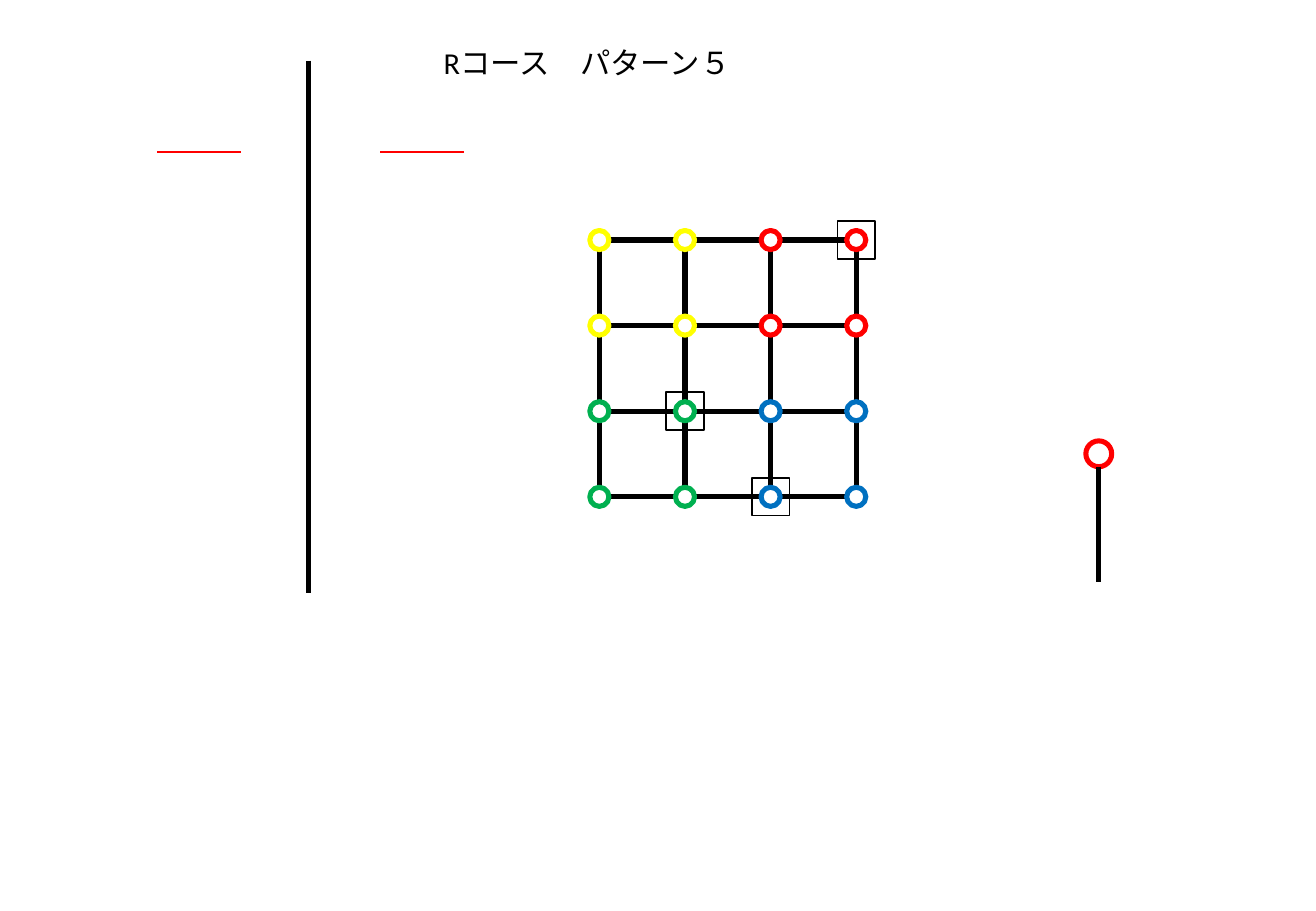
from dataclasses import dataclass
from itertools import product

from lxml import etree
from pptx import Presentation
from pptx import util as u
from pptx.dml.color import RGBColor
from pptx.enum import shapes, text
from pptx.oxml.ns import qn
from pptx.shapes.autoshape import Shape
from pptx.shapes.connector import Connector


@dataclass(frozen=True)
class Theme:
    black: str = "000000"
    white: str = "FFFFFF"
    red: str = "FF0000"
    yellow: str = "FFFF00"
    green: str = "00B050"
    blue: str = "0070C0"
    font: str = "Calibri"
    title_pt: float = 18
    thick_pt: float = 3
    thin_pt: float = 1


THEME = Theme()


@dataclass(frozen=True)
class Mark:
    """A preset shape of equal sides around a centre, in centimetres."""
    kind: shapes.MSO_SHAPE
    x: float
    y: float
    size: float
    color: str = THEME.black
    line_pt: float = THEME.thick_pt
    fill: str | None = THEME.white


@dataclass(frozen=True)
class Stroke:
    """A straight line, in centimetres."""
    x1: float
    y1: float
    x2: float
    y2: float
    color: str = THEME.black
    line_pt: float = THEME.thick_pt


def draw_mark(target, mark: Mark) -> Shape:
    shape = target.add_shape(
        mark.kind, u.Cm(mark.x - mark.size / 2), u.Cm(mark.y - mark.size / 2),
        u.Cm(mark.size), u.Cm(mark.size))
    shape.shadow.inherit = False
    if mark.fill is None:
        shape.fill.background()
    else:
        shape.fill.solid()
        shape.fill.fore_color.rgb = RGBColor.from_string(mark.fill)
    shape.line.color.rgb = RGBColor.from_string(mark.color)
    shape.line.width = u.Pt(mark.line_pt)
    return shape


def draw_stroke(target, stroke: Stroke) -> Connector:
    line = target.add_connector(
        shapes.MSO_CONNECTOR.STRAIGHT, u.Cm(stroke.x1), u.Cm(stroke.y1),
        u.Cm(stroke.x2), u.Cm(stroke.y2))
    line.line.color.rgb = RGBColor.from_string(stroke.color)
    line.line.width = u.Pt(stroke.line_pt)
    etree.SubElement(line._element.spPr, qn("a:effectLst"))
    return line


def draw_title(title: Shape, wording: str) -> None:
    title.left, title.top = u.Cm(9.02), u.Cm(0.79)
    title.width, title.height = u.Cm(6.63), u.Cm(1.02)
    frame = title.text_frame
    frame.text = wording
    frame.word_wrap = True
    frame.auto_size = text.MSO_AUTO_SIZE.SHAPE_TO_FIT_TEXT
    frame.vertical_anchor = text.MSO_ANCHOR.TOP
    heading = frame.paragraphs[0]
    heading.alignment = text.PP_ALIGN.LEFT
    font = heading.runs[0].font
    font.name = THEME.font
    font.size = u.Pt(THEME.title_pt)
    font.color.rgb = RGBColor.from_string(THEME.black)


# Course grid: four posts a side, one colour per quarter
POSTS = 4
PITCH = 1.79
GRID_LEFT, GRID_TOP = 12.53, 5.02
QUARTERS = ((THEME.yellow, THEME.red), (THEME.green, THEME.blue))
CHECKPOINTS = ((3, 0), (2, 3), (1, 2))  # column, row


def post_at(column: float, row: float) -> tuple[float, float]:
    return GRID_LEFT + column * PITCH, GRID_TOP + row * PITCH


def draw_grid(target) -> None:
    for row, column in product(range(POSTS - 1), repeat=2):
        draw_mark(target, Mark(shapes.MSO_SHAPE.RECTANGLE,
                               *post_at(column + 0.5, row + 0.5), PITCH))
    for row, column in product(range(POSTS), repeat=2):
        draw_mark(target, Mark(shapes.MSO_SHAPE.OVAL, *post_at(column, row), 0.4,
                               QUARTERS[row // 2][column // 2]))


# Signpost, divider and the two red dashes beside it
SIGN_HEAD = Mark(shapes.MSO_SHAPE.OVAL, 22.97, 9.49, 0.54, THEME.red)
STROKES = (
    Stroke(22.97, 9.76, 22.97, 12.18),
    Stroke(6.45, 1.27, 6.45, 12.4),
    Stroke(9.7, 3.18, 7.95, 3.18, THEME.red, THEME.thin_pt),
    Stroke(5.03, 3.18, 3.28, 3.18, THEME.red, THEME.thin_pt),
)


def main() -> None:
    deck = Presentation()
    deck.slide_width, deck.slide_height = u.Cm(27.51), u.Cm(19.05)
    slide = deck.slides.add_slide(deck.slide_layouts[5])
    draw_title(slide.shapes.title, "Rコース　パターン５")

    draw_mark(slide.shapes, SIGN_HEAD)
    draw_grid(slide.shapes.add_group_shape().shapes)
    for stroke in STROKES:
        draw_stroke(slide.shapes, stroke)

    # Frames around the checkpoints
    for column, row in CHECKPOINTS:
        draw_mark(slide.shapes, Mark(
            shapes.MSO_SHAPE.RECTANGLE, *post_at(column, row), 0.79,
            line_pt=THEME.thin_pt, fill=None))

    deck.save("out.pptx")


if __name__ == "__main__":
    main()
